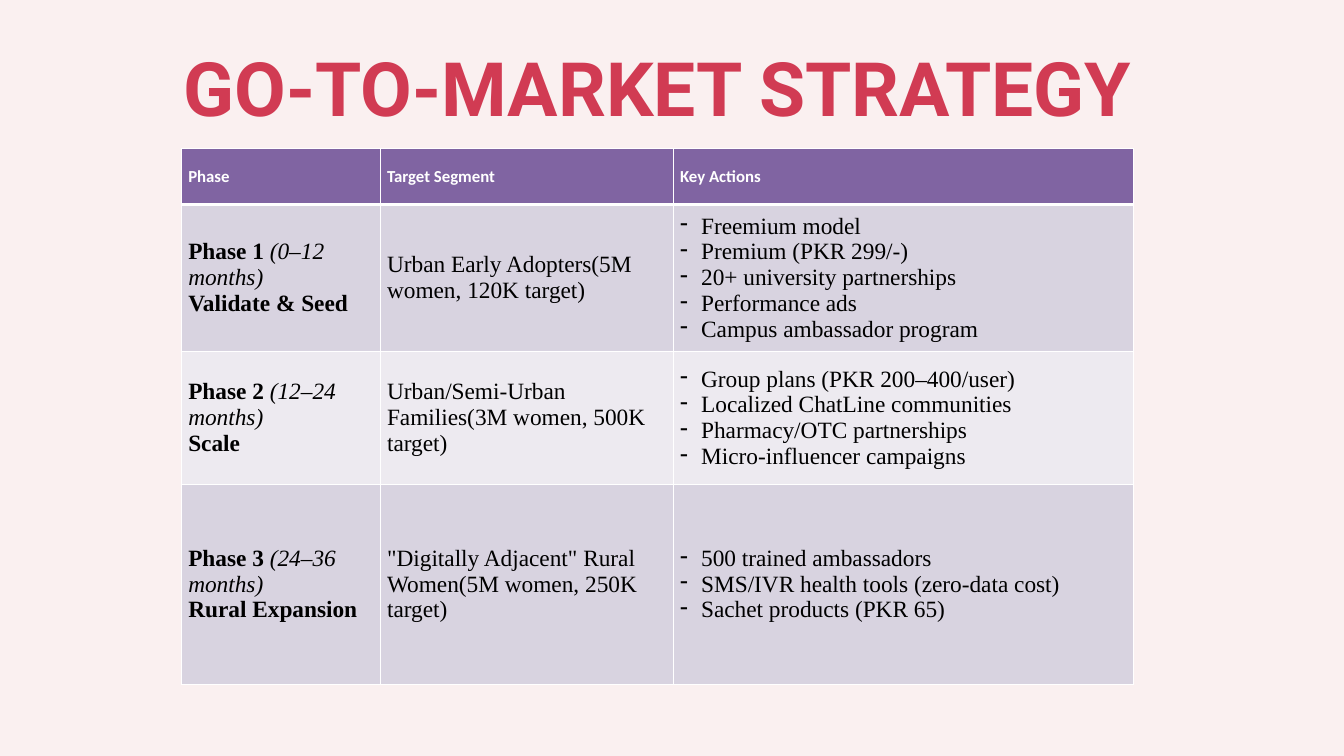
import pptx
import pptx.dml.color
import pptx.enum.text
import pptx.oxml.ns
import pptx.util
from lxml import etree

Pt = pptx.util.Pt
RGBColor = pptx.dml.color.RGBColor

BACKGROUND = RGBColor(0xFA, 0xF0, 0xF0)
CRIMSON = RGBColor(0xD1, 0x3B, 0x53)
PURPLE = RGBColor(0x80, 0x64, 0xA2)
LILAC = RGBColor(0xD8, 0xD3, 0xE0)
PALE_LILAC = RGBColor(0xED, 0xEA, 0xF0)
WHITE = RGBColor(0xFF, 0xFF, 0xFF)
BLACK = RGBColor(0x00, 0x00, 0x00)

HEADINGS = ["Phase", "Target Segment", "Key Actions"]
PHASES = [
    ("Phase 1 ", "(0–12 months)", "Validate & Seed",
     "Urban Early Adopters(5M women, 120K target)",
     ["Freemium model", "Premium (PKR 299/-)", "20+ university partnerships",
      "Performance ads", "Campus ambassador program"]),
    ("Phase 2 ", "(12–24 months)", "Scale",
     "Urban/Semi-Urban Families(3M women, 500K target)",
     ["Group plans (PKR 200–400/user)", "Localized ChatLine communities",
      "Pharmacy/OTC partnerships", "Micro-influencer campaigns"]),
    ("Phase 3 ", "(24–36 months)", "Rural Expansion",
     "\"Digitally Adjacent\" Rural Women(5M women, 250K target)",
     ["500 trained ambassadors", "SMS/IVR health tools (zero-data cost)",
      "Sachet products (PKR 65)"]),
]
COLUMN_WIDTHS = [213, 314, 493]
ROW_HEIGHTS = [60, 157.5, 142.5, 214]
BULLET_INDENT = Pt(22.5)


def set_font(font, name, size, color, bold=False):
    font.name = name
    font.size = Pt(size)
    font.color.rgb = color
    font.bold = bold


def set_body_font(paragraph, bold=False):
    set_font(paragraph.font, "Times New Roman", 25, BLACK, bold)


def add_title(slide, left, top, width, height):
    box = slide.shapes.add_textbox(Pt(left), Pt(top), Pt(width), Pt(height))
    frame = box.text_frame
    frame.word_wrap = True
    frame.auto_size = pptx.enum.text.MSO_AUTO_SIZE.SHAPE_TO_FIT_TEXT
    frame.margin_left = frame.margin_right = 0
    frame.margin_top = frame.margin_bottom = 0
    title = frame.paragraphs[0]
    title.text = "GO-TO-MARKET STRATEGY"
    title.alignment = pptx.enum.text.PP_ALIGN.CENTER
    title.line_spacing = Pt(112.5)
    set_font(title.font, "Roboto", 80.3, CRIMSON, True)


def style_cell(cell, fill, top=1, bottom=1):
    """Fill the cell and give it white borders; top and bottom are widths in points."""
    cell.vertical_anchor = pptx.enum.text.MSO_ANCHOR.MIDDLE
    properties = cell._tc.get_or_add_tcPr()
    for side, width in (("L", 1), ("R", 1), ("T", top), ("B", bottom)):
        line = etree.SubElement(properties, pptx.oxml.ns.qn(f"a:ln{side}"), w=str(Pt(width)))
        solid = etree.SubElement(line, pptx.oxml.ns.qn("a:solidFill"))
        etree.SubElement(solid, pptx.oxml.ns.qn("a:srgbClr"), val=str(WHITE))
    cell.fill.solid()
    cell.fill.fore_color.rgb = fill


def write_phase(cell, name, period, goal):
    heading = cell.text_frame.paragraphs[0]
    set_body_font(heading)
    heading.add_run().text = name
    heading.add_run().text = period
    heading.runs[0].font.bold = True
    heading.runs[1].font.italic = True
    goal_line = cell.text_frame.add_paragraph()
    goal_line.text = goal
    set_body_font(goal_line, bold=True)


def write_actions(cell, actions):
    cell.text = "\n".join(actions)
    for action in cell.text_frame.paragraphs:
        properties = action._p.get_or_add_pPr()
        properties.set("marL", str(BULLET_INDENT))
        properties.set("indent", str(-BULLET_INDENT))
        etree.SubElement(properties, pptx.oxml.ns.qn("a:buChar"), char="-")
        set_body_font(action)


def add_phase_table(slide, left, top, width, height):
    table = slide.shapes.add_table(len(ROW_HEIGHTS), len(COLUMN_WIDTHS),
                                   Pt(left), Pt(top), Pt(width), Pt(height)).table
    table.horz_banding = False
    for column, share in zip(table.columns, COLUMN_WIDTHS):
        column.width = Pt(width * share / sum(COLUMN_WIDTHS))
    for row, share in zip(table.rows, ROW_HEIGHTS):
        row.height = Pt(height * share / sum(ROW_HEIGHTS))

    for cell, heading in zip(table.rows[0].cells, HEADINGS):
        style_cell(cell, PURPLE, bottom=3)
        cell.text = heading
        set_font(cell.text_frame.paragraphs[0].font, "Calibri", 18, WHITE, True)

    for number, (name, period, goal, segment, actions) in enumerate(PHASES, 1):
        cells = list(table.rows[number].cells)
        for cell in cells:
            style_cell(cell, LILAC if number % 2 else PALE_LILAC,
                       top=3 if number == 1 else 1)
        write_phase(cells[0], name, period, goal)
        cells[1].text = segment
        set_body_font(cells[1].text_frame.paragraphs[0])
        write_actions(cells[2], actions)


def main():
    presentation = pptx.Presentation()
    presentation.slide_width = Pt(1440)
    presentation.slide_height = Pt(810)
    slide = presentation.slides.add_slide(presentation.slide_layouts[6])
    slide.background.fill.solid()
    slide.background.fill.fore_color.rgb = BACKGROUND
    add_title(slide, 155.5, 28, 1098, 113)
    add_phase_table(slide, 194.5, 159, 1020, 574)
    presentation.save("out.pptx")


if __name__ == "__main__":
    main()
